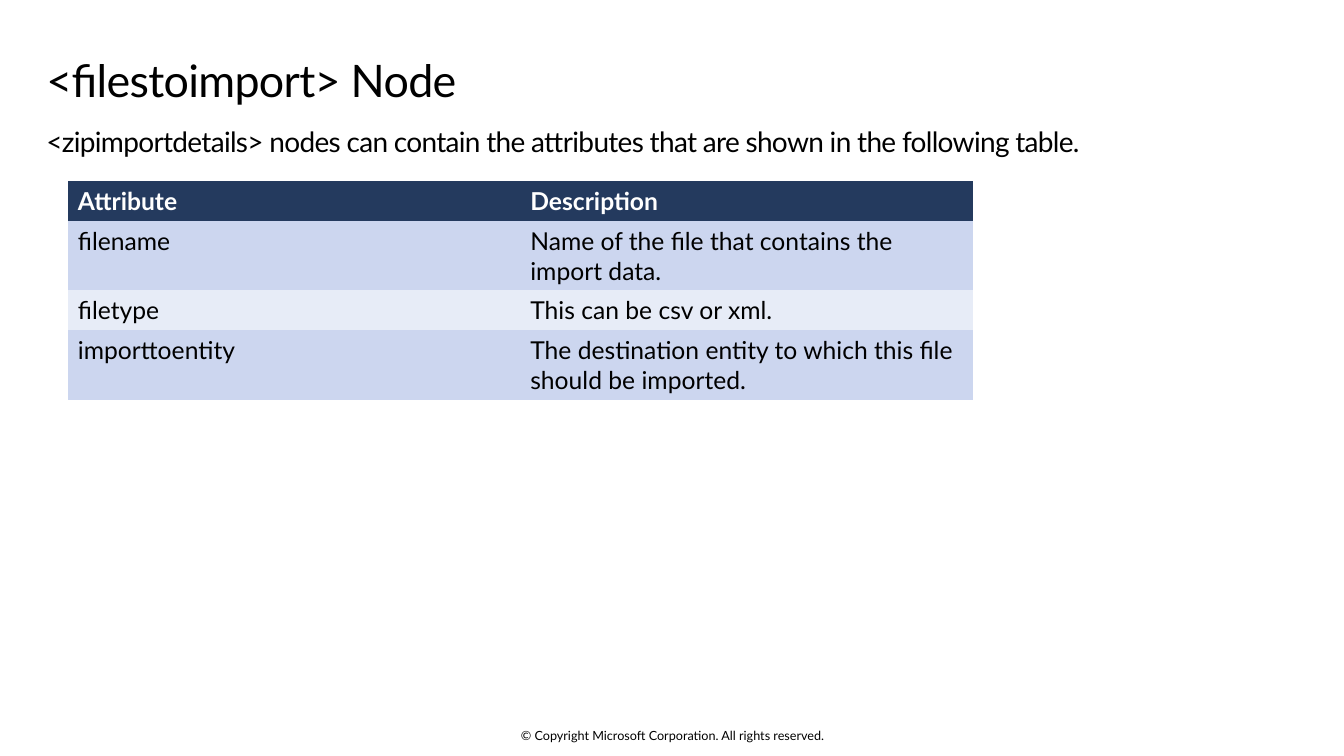
from dataclasses import dataclass

from pptx import Presentation
from pptx.dml.color import RGBColor
from pptx.enum.text import MSO_ANCHOR as Anchor, PP_ALIGN as Align
from pptx.slide import Slide
from pptx.text.text import _Paragraph as Paragraph
from pptx.util import Cm, Pt

FONT = "Lato"
COLORS = {
    "ink": "000000",
    "header_text": "FFFFFF",
    "header": "243A5E",
    "band_dark": "CCD6EF",
    "band_light": "E7ECF7",
}


@dataclass
class TextLine:
    """A one-line text box; lengths are centimetres."""
    text: str
    left: float
    top: float
    width: float
    height: float
    size: float
    pad_y: float = 0
    pad_right: float = 0
    spacing: float = 0
    line_spacing: float = 1.0
    align: Align = Align.LEFT
    anchor: Anchor = Anchor.TOP


@dataclass
class AttributeRow:
    attribute: str
    description: str
    height: float
    fill: str
    color: str = "ink"
    bold: bool = False


TEXT_LINES = [
    TextLine("© Copyright Microsoft Corporation. All rights reserved.",
             11.23, 18.34, 11.43, 0.38, 9,
             align=Align.CENTER, anchor=Anchor.MIDDLE),
    TextLine("<filestoimport> Node", 1.17, 1.22, 31.5, 1.78, 32,
             pad_y=0.25, pad_right=0.41, spacing=-0.5, line_spacing=0.9),
    TextLine("<zipimportdetails> nodes can contain the attributes that are "
             "shown in the following table.",
             1.17, 3.0, 31.5, 1.12, 20, pad_y=0.13, spacing=-0.5),
]

ATTRIBUTE_ROWS = [
    AttributeRow("Attribute", "Description", 1.0, "header", "header_text", True),
    AttributeRow("filename", "Name of the file that contains the import data.",
                 1.75, "band_dark"),
    AttributeRow("filetype", "This can be csv or xml.", 1.0, "band_light"),
    AttributeRow("importtoentity",
                 "The destination entity to which this file should be imported.",
                 1.75, "band_dark"),
]


def format_runs(paragraph: Paragraph, size: float, color: str,
                bold: bool = False, spacing: float = 0) -> None:
    for run in paragraph.runs:
        run.font.name = FONT
        run.font.size = Pt(size)
        run.font.bold = bold
        run.font.color.rgb = RGBColor.from_string(COLORS[color])
        if spacing:
            run._r.get_or_add_rPr().set("spc", str(round(spacing * 100)))


def draw_text_line(slide: Slide, line: TextLine) -> None:
    box = slide.shapes.add_textbox(Cm(line.left), Cm(line.top),
                                   Cm(line.width), Cm(line.height))
    frame = box.text_frame
    frame.word_wrap = True
    frame.vertical_anchor = line.anchor
    frame.margin_left = 0
    frame.margin_right = Cm(line.pad_right)
    frame.margin_top = frame.margin_bottom = Cm(line.pad_y)
    frame.text = line.text
    paragraph = frame.paragraphs[0]
    paragraph.alignment = line.align
    paragraph.line_spacing = line.line_spacing
    format_runs(paragraph, line.size, "ink", spacing=line.spacing)


def draw_attribute_table(slide: Slide, rows: list[AttributeRow]) -> None:
    column_width = Cm(11.4)
    table = slide.shapes.add_table(
        len(rows), 2, Cm(1.71), Cm(4.57), 2 * column_width,
        Cm(sum(row.height for row in rows))).table
    for column in table.columns:
        column.width = column_width
    for index, row in enumerate(rows):
        table.rows[index].height = Cm(row.height)
        for cell, text in zip(table.rows[index].cells,
                              (row.attribute, row.description)):
            cell.fill.solid()
            cell.fill.fore_color.rgb = RGBColor.from_string(COLORS[row.fill])
            # Keep the table style's white grid lines from showing
            for side in ("a:lnL", "a:lnR", "a:lnT", "a:lnB"):
                hide_border(cell, side)
            cell.text_frame.text = text
            format_runs(cell.text_frame.paragraphs[0], 17.6, row.color, row.bold)


def hide_border(cell, side: str) -> None:
    properties = cell._tc.get_or_add_tcPr()
    border = OxmlElement(side)
    border.set("w", "0")
    border.append(OxmlElement("a:noFill"))
    # Borders come before the fill
    properties.insert(len(properties) - 1, border)


def main() -> None:
    presentation = Presentation()
    presentation.slide_width = Cm(33.87)
    presentation.slide_height = Cm(19.05)
    slide = presentation.slides.add_slide(presentation.slide_layouts[6])

    # Footer, title and introduction
    for line in TEXT_LINES:
        draw_text_line(slide, line)

    # Attributes of the node
    draw_attribute_table(slide, ATTRIBUTE_ROWS)

    presentation.save("out.pptx")


from pptx.oxml.xmlchemy import OxmlElement

if __name__ == "__main__":
    main()
